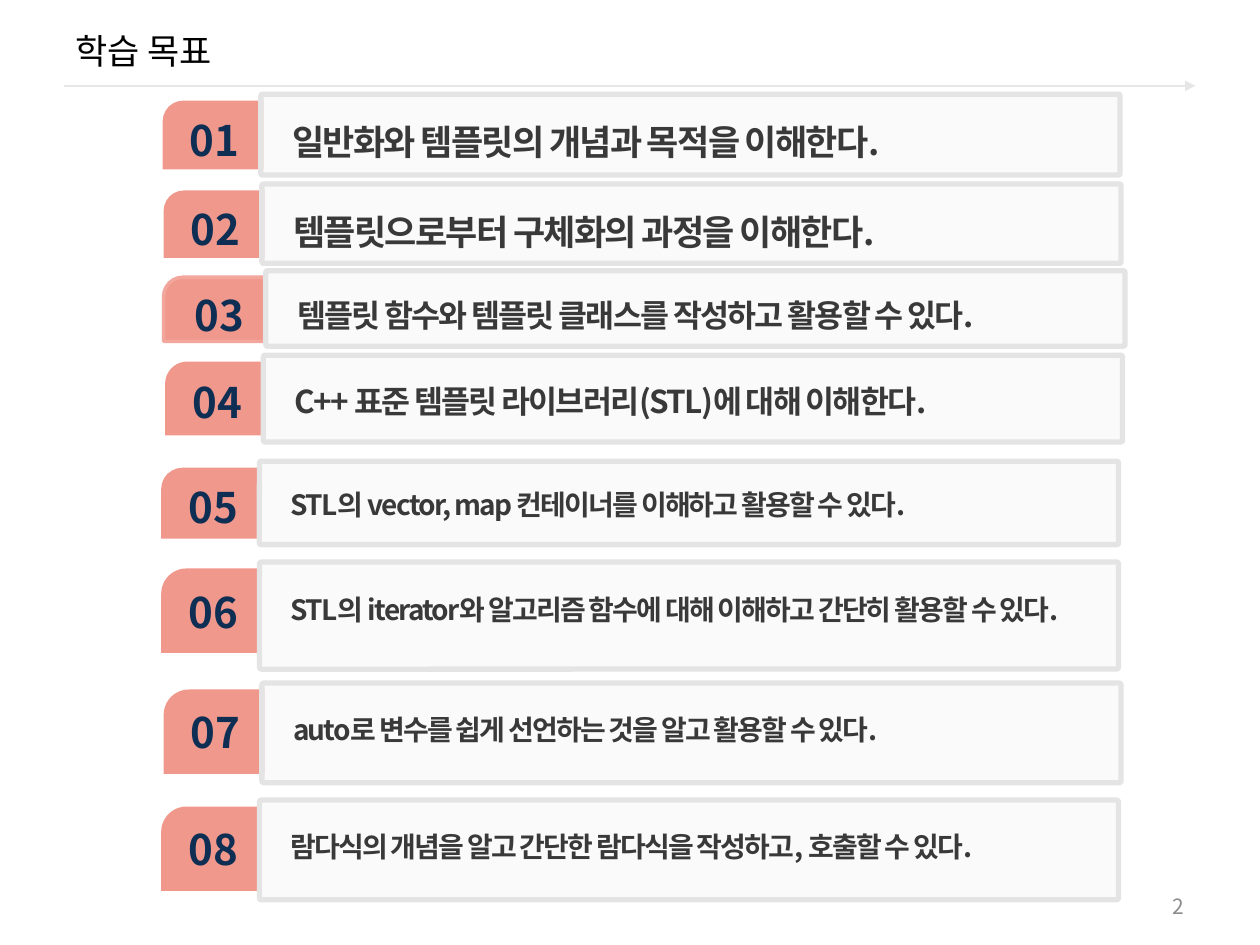
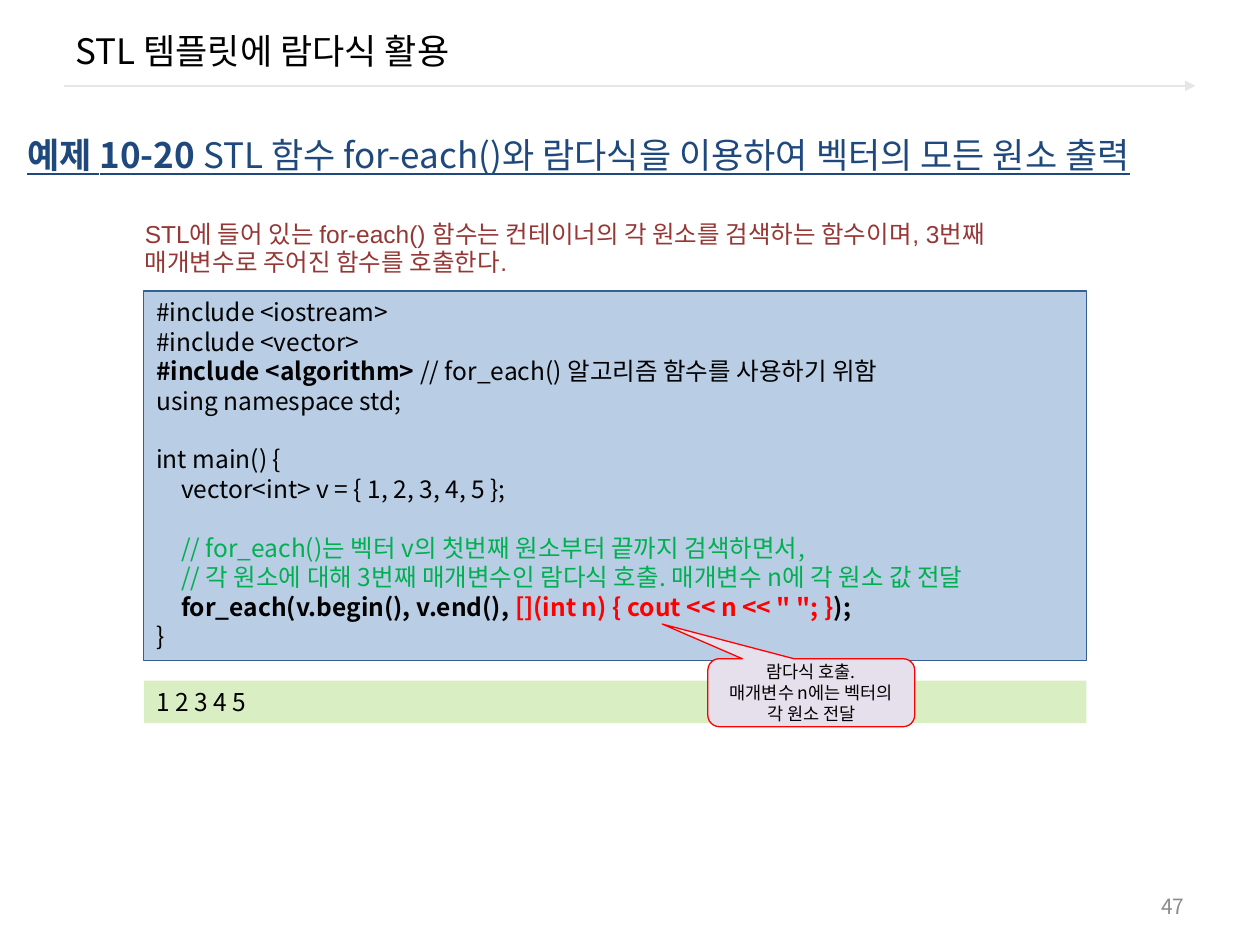
from pptx import Presentation
from pptx.dml.color import RGBColor
from pptx.enum.shapes import MSO_CONNECTOR as Line, MSO_SHAPE as Shape
from pptx.enum.text import MSO_ANCHOR as Anchor, PP_ALIGN as Align
from pptx.oxml.ns import qn
from pptx.util import Cm, Pt
from lxml.etree import SubElement

FONT = "Noto Sans CJK KR"
BLACK, RED, GREEN, NAVY, BLUE = "000000", "FF0000", "00B050", "0F2E53", "1F497D"
CORAL, CORAL_EDGE, CARD, CARD_EDGE, INK = "F0988C", "F2A69C", "F2F2F2", "E4E4E4", "393939"


def color(value):
    return RGBColor.from_string(value)


class Painter:
    """Holds the deck, its style and the current page."""

    def __init__(self):
        self.deck = Presentation()
        self.deck.slide_width, self.deck.slide_height = Cm(25.4), Cm(19.05)
        self.page = None

    def new_page(self, title, number):
        self.page = self.deck.slides.add_slide(self.deck.slide_layouts[6])
        self.arrow(1.3, 24.1, 1.73)
        self.text((1.27, 0.2, 22.86, 1.63), [title], 20, anchor=Anchor.MIDDLE)
        self.text((18.21, 17.86, 5.92, 0.81), [number], 12, "8C8C8C",
                  align=Align.RIGHT, anchor=Anchor.MIDDLE)

    def arrow(self, start, end, top):
        arrow = self.page.shapes.add_connector(
            Line.STRAIGHT, Cm(start), Cm(top), Cm(end), Cm(top))
        arrow.line.color.rgb = color("E6E6E6")
        arrow.line.width = Pt(1.5)
        properties = arrow._element.spPr
        SubElement(properties.find(qn("a:ln")), qn("a:tailEnd"), type="triangle")
        SubElement(properties, qn("a:effectLst"))

    def shape(self, kind, place, fill, edge=None, width=0.75, adjust=(), opacity=None):
        shape = self.page.shapes.add_shape(kind, *map(Cm, place))
        shape.shadow.inherit = False
        for index, value in enumerate(adjust):
            shape.adjustments[index] = value
        shape.fill.solid()
        shape.fill.fore_color.rgb = color(fill)
        if opacity:
            fill_color = shape._element.spPr.find(qn("a:solidFill"))[0]
            SubElement(fill_color, qn("a:alpha"), val=str(opacity * 1000))
        if edge:
            shape.line.color.rgb = color(edge)
            shape.line.width = Pt(width)
        else:
            shape.line.fill.background()
        return shape

    def text(self, place, paragraphs, size, ink=BLACK, wrap=True, **style):
        box = self.page.shapes.add_textbox(*map(Cm, place))
        self.set_text(box, paragraphs, size, ink, wrap, **style)

    def set_text(self, box, paragraphs, size, ink=BLACK, wrap=True, anchor=Anchor.TOP,
                 align=Align.LEFT, bold=False, underline=False, font=FONT,
                 leading=1.2, spacing=0, tab=None):
        """Each paragraph is a string or a list of (text, bold, ink) spans."""
        frame = box.text_frame
        frame.word_wrap, frame.vertical_anchor = wrap, anchor
        for index, content in enumerate(paragraphs):
            para = frame.add_paragraph() if index else frame.paragraphs[0]
            para.alignment, para.line_spacing = align, Pt(size * leading)
            if tab:
                stops = SubElement(para._p.get_or_add_pPr(), qn("a:tabLst"))
                SubElement(stops, qn("a:tab"), pos=str(Cm(tab)), algn="l")
            para.font.size, para.font.name = Pt(size), font
            para.font.bold, para.font.underline = bold, underline
            para.font.color.rgb = color(ink)
            defaults = para._p.pPr.find(qn("a:defRPr"))
            SubElement(defaults, qn("a:ea"), typeface=FONT)
            if spacing:
                defaults.set("spc", str(spacing * 100))
            spans = [(content, bold, ink)] if isinstance(content, str) else content
            for words, span_bold, span_ink in spans:
                if not words:
                    continue
                span = para.add_run()
                span.text = words
                if span_bold != bold:
                    span.font.bold = span_bold
                if span_ink != ink:
                    span.font.color.rgb = color(span_ink)

    def goal(self, number, left, top, height, size, words):
        """A numbered tab tucked behind a card with one learning goal."""
        marked = number == 3
        self.shape(Shape.SNIP_ROUND_RECTANGLE,
                   (left - 1.98 - 0.08 * marked, top + 0.13, 2.03, min(0.85 * height, 1.7)),
                   CORAL, CORAL_EDGE if marked else None, 2, (0.3, 0))
        self.text((left - 1.68, top + 0.17 * height, 1.5, 1.1), [f"{number:02}"], 24,
                  NAVY, wrap=False, align=Align.CENTER, bold=True)
        self.shape(Shape.ROUNDED_RECTANGLE, (left, top, 17.32, height), CARD,
                   CARD_EDGE, 3, (0.02,), opacity=33)
        self.text((left + 0.38, top + 0.2 * height, 16.3, 0.9), [words], size, INK,
                  bold=True, leading=1.32, spacing=-1)


# Left, top and height of the card, text size, goal
GOALS = [
    (5.26, 1.9, 1.63, 20, "일반화와 템플릿의 개념과 목적을 이해한다."),
    (5.28, 3.71, 1.6, 20, "템플릿으로부터 구체화의 과정을 이해한다."),
    (5.36, 5.46, 1.52, 18, "템플릿 함수와 템플릿 클래스를 작성하고 활용할 수 있다."),
    (5.31, 7.16, 1.75, 18, "C++ 표준 템플릿 라이브러리(STL)에 대해 이해한다."),
    (5.23, 9.3, 1.68, 16, "STL의 vector, map 컨테이너를 이해하고 활용할 수 있다."),
    (5.23, 11.33, 2.16, 16,
     "STL의 iterator와 알고리즘 함수에 대해 이해하고 간단히 활용할 수 있다."),
    (5.28, 13.77, 2.01, 16, "auto로 변수를 쉽게 선언하는 것을 알고 활용할 수 있다."),
    (5.23, 16.13, 2.01, 16, "람다식의 개념을 알고 간단한 람다식을 작성하고, 호출할 수 있다."),
]

CODE = [
    "#include <iostream>",
    "#include <vector>",
    [("#include <algorithm> ", True, BLACK),
     ("// for_each() 알고리즘 함수를 사용하기 위함", False, BLACK)],
    "using namespace std;",
    "",
    "int main() {",
    "\tvector<int> v = { 1, 2, 3, 4, 5 };",
    "",
    [("\t// for_each()는 벡터 v의 첫번째 원소부터 끝까지 검색하면서,", False, GREEN)],
    [("\t// 각 원소에 대해 3번째 매개변수인 람다식 호출. 매개변수 n에 각 원소 값 전달",
      False, GREEN)],
    [("\tfor_each(v.begin(), v.end(), ", True, BLACK),
     ('[](int n) { cout << n << " "; }', True, RED), (");", True, BLACK)],
    "}",
]


def main():
    painter = Painter()

    # Learning goals
    painter.new_page("학습 목표", "2")
    for number, goal in enumerate(GOALS, 1):
        painter.goal(number, *goal)

    # Example: heading and introduction
    painter.new_page("STL 템플릿에 람다식 활용", "47")
    painter.text((2.67, 4.32, 19.25, 1.45),
                 ["STL에 들어 있는 for-each() 함수는 컨테이너의 각 원소를 검색하는 함수이며, "
                  "3번째 매개변수로 주어진 함수를 호출한다."],
                 14, "953735", font="Arial", leading=1.15)
    painter.text((0.3, 2.18, 24.61, 1.88),
                 [[("예제", True, BLUE), (" ", False, BLUE), ("10-20", True, BLUE),
                   (" STL 함수 for-each()와 람다식을 이용하여 벡터의 모든 원소 출력",
                    False, BLUE)]],
                 20, BLUE, anchor=Anchor.MIDDLE, underline=True)

    # Code, its output and the callout
    code = painter.shape(Shape.RECTANGLE, (2.9, 5.87, 19, 7.44), "B9CDE5", "376092")
    painter.set_text(code, CODE, 14, tab=0.5)
    output = painter.shape(Shape.RECTANGLE, (2.9, 13.72, 19, 0.86), "DAEEC4")
    painter.set_text(output, ["1 2 3 4 5"], 14)
    callout = painter.shape(Shape.ROUNDED_RECTANGULAR_CALLOUT, (14.27, 13.28, 4.17, 1.37),
                            "E6E0EC", RED, adjust=(-0.72, -1.01, 0.17))
    painter.set_text(callout, ["람다식 호출.", "매개변수 n에는 벡터의 각 원소 전달"], 10,
                     anchor=Anchor.MIDDLE, align=Align.CENTER)

    painter.deck.save("out.pptx")


if __name__ == "__main__":
    main()
